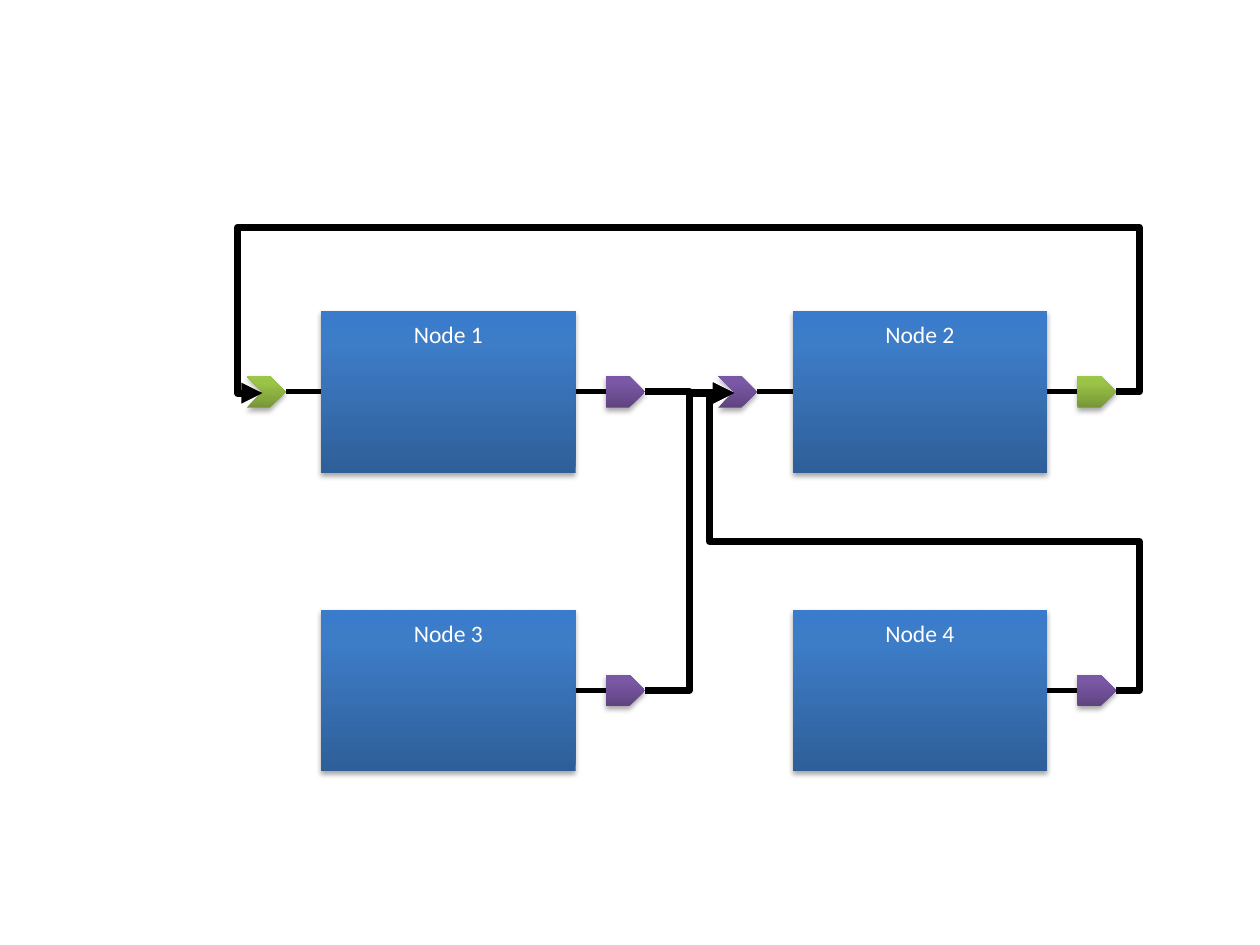
from copy import deepcopy
from typing import NamedTuple

from lxml.etree import SubElement
from pptx import Presentation
from pptx.dml.color import RGBColor
from pptx.enum.shapes import MSO_CONNECTOR, MSO_SHAPE
from pptx.enum.text import MSO_ANCHOR, PP_ALIGN
from pptx.oxml.ns import qn
from pptx.shapes.autoshape import Shape
from pptx.shapes.connector import Connector
from pptx.shapes.shapetree import SlideShapes
from pptx.util import Pt

BLACK = RGBColor(0x00, 0x00, 0x00)
WHITE = RGBColor(0xFF, 0xFF, 0xFF)

Gradient = tuple[RGBColor, RGBColor, RGBColor]
BLUE: Gradient = (RGBColor(0x2F, 0x5F, 0x99), RGBColor(0x3D, 0x7C, 0xC7), RGBColor(0x3A, 0x7C, 0xCB))
PURPLE: Gradient = (RGBColor(0x5F, 0x44, 0x80), RGBColor(0x7B, 0x58, 0xA6), RGBColor(0x7C, 0x57, 0xA8))
GREEN: Gradient = (RGBColor(0x77, 0x97, 0x37), RGBColor(0x9B, 0xC3, 0x48), RGBColor(0x9D, 0xC7, 0x46))
STOP_POSITIONS = (0, 0.8, 1)

# All lengths are in points.
LEFT, TOP = 183.5, 177.8
COLUMN_STEP, ROW_STEP = 269.4, 170.6
NODE_WIDTH, NODE_HEIGHT = 145.4, 92.2
PORT_WIDTH, PORT_HEIGHT = 22.2, 18
INPUT_OFFSET, OUTPUT_OFFSET = -42.5, 162.8
NOTCH_DEPTH, NOTCH_DROP = 9, 0.7
OUTPUT_STUB, INPUT_STUB = 13.2, 5
TOP_LANE, MIDDLE_LANE = 131, 309.4


class Point(NamedTuple):
    x: float
    y: float


class Node(NamedTuple):
    label: str
    column: int
    row: int
    output_colors: Gradient
    input_colors: Gradient | None = None

    @property
    def left(self) -> float:
        return LEFT + self.column * COLUMN_STEP

    @property
    def top(self) -> float:
        return TOP + self.row * ROW_STEP

    @property
    def middle(self) -> float:
        return self.top + NODE_HEIGHT / 2

    @property
    def output_tip(self) -> Point:
        return Point(self.left + OUTPUT_OFFSET + PORT_WIDTH, self.middle)

    @property
    def input_notch(self) -> Point:
        return Point(self.left + INPUT_OFFSET + NOTCH_DEPTH, self.middle + NOTCH_DROP)


class Wire(NamedTuple):
    source: Node
    target: Node
    lane: float | None = None


NODE_1 = Node("Node 1", 0, 0, PURPLE, GREEN)
NODE_2 = Node("Node 2", 1, 0, GREEN, PURPLE)
NODE_3 = Node("Node 3", 0, 1, PURPLE)
NODE_4 = Node("Node 4", 1, 1, PURPLE)
NODES = (NODE_1, NODE_2, NODE_3, NODE_4)
WIRES = (
    Wire(NODE_1, NODE_2),
    Wire(NODE_2, NODE_1, TOP_LANE),
    Wire(NODE_3, NODE_2),
    Wire(NODE_4, NODE_2, MIDDLE_LANE),
)


def add_box(shapes: SlideShapes, kind: MSO_SHAPE, left: float, top: float,
            width: float, height: float, colors: Gradient) -> Shape:
    """Add a borderless shape with a vertical gradient and a soft shadow."""
    box = shapes.add_shape(kind, Pt(left), Pt(top), Pt(width), Pt(height))
    box.line.fill.background()
    box.fill.gradient()
    box.fill.gradient_angle = 90
    stop_list = next(box.element.iter(qn("a:gsLst")))
    stop_list.append(deepcopy(stop_list[0]))
    for stop, color, position in zip(box.fill.gradient_stops, colors, STOP_POSITIONS):
        stop.color.rgb = color
        stop.position = position

    box.shadow.inherit = False
    effects = next(box.element.iter(qn("a:effectLst")))
    shadow = SubElement(effects, qn("a:outerShdw"), blurRad=str(Pt(3.1)),
                        dist=str(Pt(1.8)), dir="5400000", rotWithShape="0")
    shade = SubElement(shadow, qn("a:srgbClr"), val=str(BLACK))
    SubElement(shade, qn("a:alpha"), val="35000")
    return box


def add_line(shapes: SlideShapes, kind: MSO_CONNECTOR, start: Point, end: Point,
             width: float) -> Connector:
    line = shapes.add_connector(kind, Pt(start.x), Pt(start.y), Pt(end.x), Pt(end.y))
    line.line.color.rgb = BLACK
    line.line.width = Pt(width)
    SubElement(line.element.spPr, qn("a:effectLst"))
    return line


def join(shapes: SlideShapes, left_box: Shape, right_box: Shape) -> None:
    """Link the right side of one box to the left side of the next."""
    line = add_line(shapes, MSO_CONNECTOR.STRAIGHT, Point(0, 0), Point(0, 0), 3)
    line.begin_connect(left_box, 3)
    line.end_connect(right_box, 1)


def draw_node(shapes: SlideShapes, node: Node) -> None:
    box = add_box(shapes, MSO_SHAPE.FLOWCHART_PROCESS, node.left, node.top,
                  NODE_WIDTH, NODE_HEIGHT, BLUE)
    frame = box.text_frame
    frame.word_wrap = True
    frame.vertical_anchor = MSO_ANCHOR.TOP
    frame.margin_top = Pt(5)
    para = frame.paragraphs[0]
    para.text = node.label
    para.alignment = PP_ALIGN.CENTER
    para.font.name = "Calibri"
    para.font.size = Pt(13.5)
    para.font.color.rgb = WHITE

    port_top = node.middle - PORT_HEIGHT / 2
    output = add_box(shapes, MSO_SHAPE.PENTAGON, node.left + OUTPUT_OFFSET, port_top,
                     PORT_WIDTH, PORT_HEIGHT, node.output_colors)
    join(shapes, box, output)
    if node.input_colors:
        port = add_box(shapes, MSO_SHAPE.CHEVRON, node.left + INPUT_OFFSET, port_top,
                       PORT_WIDTH, PORT_HEIGHT, node.input_colors)
        join(shapes, port, box)


def draw_wire(shapes: SlideShapes, wire: Wire) -> None:
    """Draw an elbow arrow, going round by a horizontal lane if one is given."""
    start, end = wire.source.output_tip, wire.target.input_notch
    line = add_line(shapes, MSO_CONNECTOR.ELBOW, start, end, 4)
    SubElement(line.line._get_or_add_ln(), qn("a:tailEnd"), type="triangle")
    if wire.lane is None:
        return
    overshoot = OUTPUT_STUB / (end.x - start.x)
    lane = (wire.lane - start.y) / (end.y - start.y)
    approach = (end.x - NOTCH_DEPTH - INPUT_STUB - start.x) / (end.x - start.x)
    geometry = next(line.element.iter(qn("a:prstGeom")))
    geometry.set("prst", "bentConnector5")
    guides = geometry.find(qn("a:avLst"))
    for number, ratio in enumerate((overshoot, lane, approach), start=1):
        SubElement(guides, qn("a:gd"), name=f"adj{number}", fmla=f"val {round(ratio * 100000)}")


def main() -> None:
    deck = Presentation()
    deck.slide_width, deck.slide_height = Pt(720), Pt(540)
    page = deck.slides.add_slide(deck.slide_layouts[6])
    for node in NODES:
        draw_node(page.shapes, node)
    for wire in WIRES:
        draw_wire(page.shapes, wire)
    deck.save("out.pptx")


if __name__ == "__main__":
    main()
